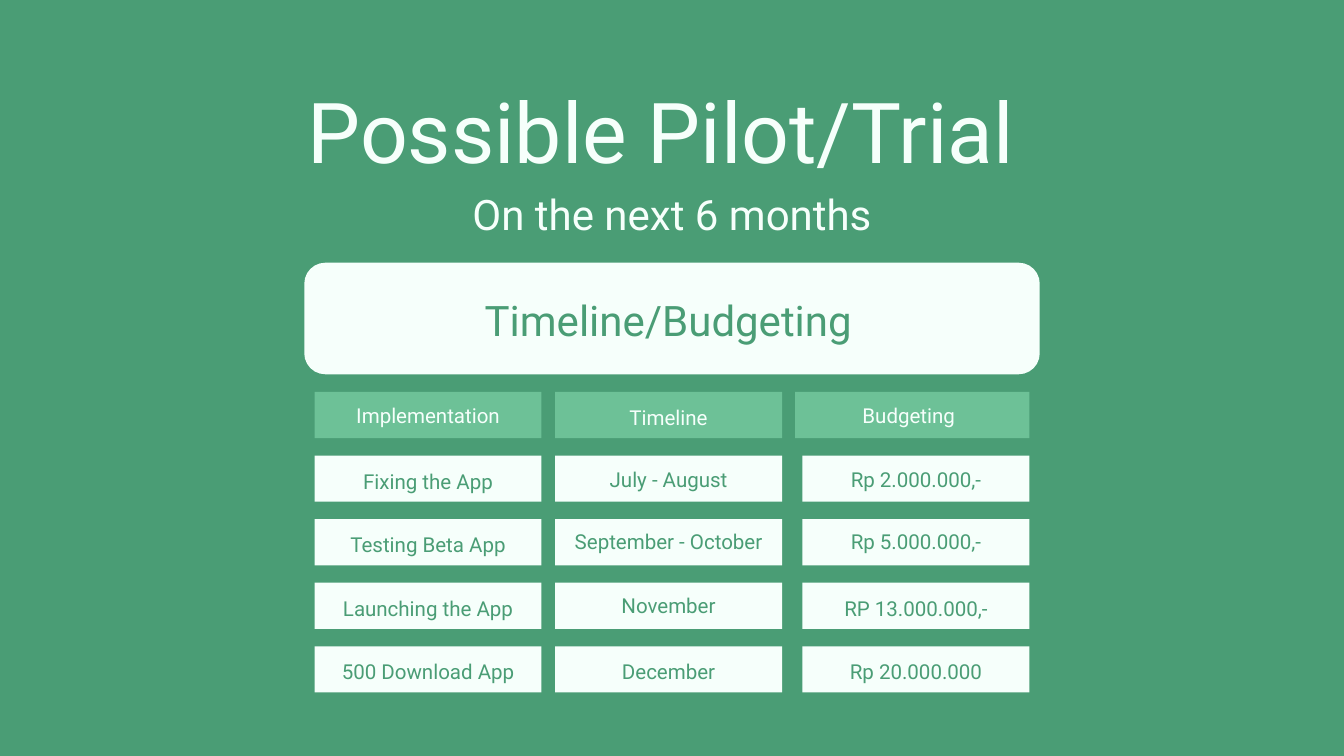
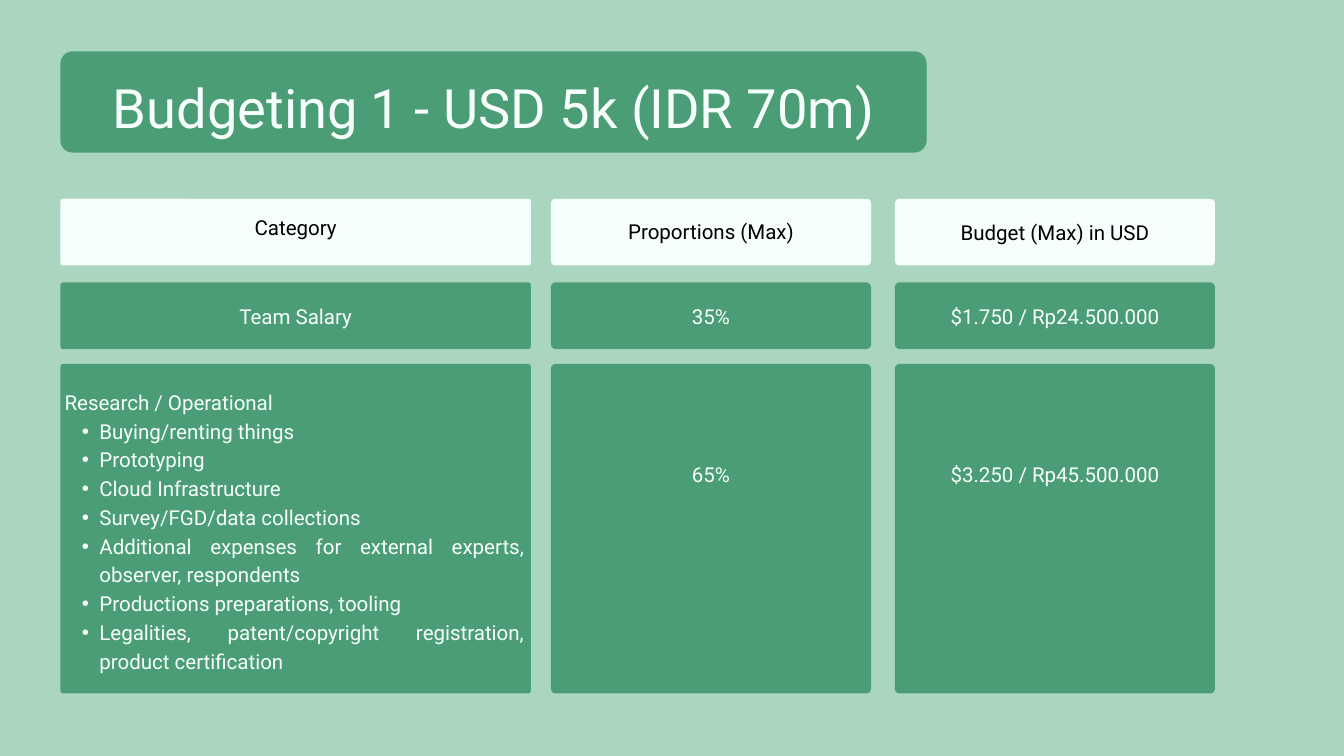
from lxml import etree
from pptx import Presentation
from pptx.dml.color import RGBColor
from pptx.enum.shapes import MSO_SHAPE
from pptx.enum.text import MSO_ANCHOR, MSO_AUTO_SIZE, PP_ALIGN
from pptx.oxml.ns import qn
from pptx.util import Pt

GREEN = RGBColor(0x4A, 0x9D, 0x75)
LIGHT_GREEN = RGBColor(0x6D, 0xC1, 0x97)
PALE_GREEN = RGBColor(0xAA, 0xD6, 0xC0)
MINT_WHITE = RGBColor(0xF6, 0xFF, 0xFB)
BLACK = RGBColor(0x00, 0x00, 0x00)

RECTANGLE = MSO_SHAPE.RECTANGLE
ROUNDED = MSO_SHAPE.ROUNDED_RECTANGLE
TOP, MIDDLE = MSO_ANCHOR.TOP, MSO_ANCHOR.MIDDLE
CENTER, JUSTIFY = PP_ALIGN.CENTER, PP_ALIGN.JUSTIFY
NO_AUTOFIT = MSO_AUTO_SIZE.NONE

FONT = "Roboto"
LINE_RATIO = 1.4
CELL_INSET = 4.3
TITLE_LAYOUT, CONTENT_LAYOUT = 0, 1

PILOT_HEADERS = [("Implementation", -2), ("Timeline", 0), ("Budgeting", -2)]
PILOT_ROWS = [
    [("Fixing the App", 1), ("July - August", -2), ("Rp 2.000.000,-", -2)],
    [("Testing Beta App", 0), ("September - October", -3), ("Rp 5.000.000,-", -3)],
    [("Launching the App", 0), ("November", -3), ("RP 13.000.000,-", 0)],
    [("500 Download App", 0), ("December", 0), ("Rp 20.000.000", 0)],
]
BUDGET_HEADERS = [("Category", -7), ("Proportions (Max)", -3), ("Budget (Max) in USD", -2)]
SALARY_ROW = [("Team Salary", -2), ("35%", -2), ("$1.750 / Rp24.500.000", -2)]
RESEARCH_ROW = [("", 0), ("65%", -61), ("$3.250 / Rp45.500.000", -61)]
RESEARCH_ITEMS = [
    "Buying/renting things",
    "Prototyping",
    "Cloud Infrastructure",
    "Survey/FGD/data collections",
    "Additional expenses for external experts, observer, respondents",
    "Productions preparations, tooling",
    "Legalities, patent/copyright registration, product certification",
]


def write_paragraph(paragraph, text, size=22, color=MINT_WHITE, align=CENTER, bullet=False):
    properties = paragraph._p.get_or_add_pPr()
    if bullet:
        paragraph.level = 1
        properties.set("marL", str(Pt(37.4)))
        properties.set("indent", str(-Pt(18.7)))
        etree.SubElement(properties, qn("a:buChar")).set("char", "•")
    else:
        properties.set("marL", "0")
        properties.set("indent", "0")
        etree.SubElement(properties, qn("a:buNone"))
    paragraph.alignment = align
    paragraph.line_spacing = Pt(round(size * LINE_RATIO, 1))
    paragraph.space_before = paragraph.space_after = Pt(0)
    run = paragraph.add_run()
    run.text = text
    run.font.name = FONT
    run.font.size = Pt(size)
    run.font.bold = False
    run.font.color.rgb = color


def set_frame(frame, anchor, inset=0, shift=(0, 0)):
    across, down = shift
    frame.word_wrap = True
    frame.auto_size = NO_AUTOFIT
    frame.vertical_anchor = anchor
    frame.margin_left = Pt(inset + max(0, 2 * across))
    frame.margin_right = Pt(inset + max(0, -2 * across))
    frame.margin_top = Pt(inset + max(0, 2 * down))
    frame.margin_bottom = Pt(inset + max(0, -2 * down))


def add_card(slide, box, fill, text="", radius=0, shift=(0, 0), **text_format):
    kind = ROUNDED if radius else RECTANGLE
    shape = slide.shapes.add_shape(kind, *map(Pt, box))
    if radius:
        shape.adjustments[0] = radius / min(box[2:])
    shape.shadow.inherit = False
    shape.fill.solid()
    shape.fill.fore_color.rgb = fill
    shape.line.fill.background()
    if text:
        set_frame(shape.text_frame, MIDDLE, CELL_INSET, shift)
        write_paragraph(shape.text_frame.paragraphs[0], text, **text_format)


def place_placeholder(placeholder, box, inset=0):
    placeholder.left, placeholder.top, placeholder.width, placeholder.height = map(Pt, box)
    set_frame(placeholder.text_frame, TOP, inset)
    placeholder.element.getparent().append(placeholder.element)
    return placeholder.text_frame


def add_heading(placeholder, box, text, size):
    frame = place_placeholder(placeholder, box)
    write_paragraph(frame.paragraphs[0], text, size=size)


def add_slide(presentation, layout, background):
    slide = presentation.slides.add_slide(presentation.slide_layouts[layout])
    slide.background.fill.solid()
    slide.background.fill.fore_color.rgb = background
    return slide


def add_pilot_grid(slide, box):
    left, top, width, height = box
    cell_width, cell_height = 243.2, 49.5
    pitch = (height - cell_height) / len(PILOT_ROWS)
    lefts = [left, left + 257.7, left + width - cell_width]
    header_left = left + 515
    header_boxes = [(x, top, cell_width, cell_height) for x in lefts[:2]]
    header_boxes.append((header_left, top, left + width - header_left, cell_height))
    for header_box, (text, drop) in zip(header_boxes, PILOT_HEADERS):
        across = (cell_width - header_box[2]) / 2
        add_card(slide, header_box, LIGHT_GREEN, text, shift=(across, drop))
    for number, row in enumerate(PILOT_ROWS, 1):
        for x, (text, drop) in zip(lefts, row):
            cell_box = (x, top + number * pitch, cell_width, cell_height)
            add_card(slide, cell_box, MINT_WHITE, text, shift=(0, drop), color=GREEN)


def add_budget_grid(slide, box):
    left, top, width, height = box
    columns = [(left, 504, 3), (left + 525.5, 343, 5), (left + width - 343, 343, 5)]
    rows = [
        (0, 71.5, BUDGET_HEADERS, MINT_WHITE, BLACK),
        (89.5, 71.5, SALARY_ROW, GREEN, MINT_WHITE),
        (177, height - 177, RESEARCH_ROW, GREEN, MINT_WHITE),
    ]
    for offset, row_height, cells, fill, color in rows:
        for (x, cell_width, radius), (text, drop) in zip(columns, cells):
            cell_box = (x, top + offset, cell_width, row_height)
            add_card(slide, cell_box, fill, text, radius, (0, drop), color=color)


def add_research_list(placeholder, box):
    frame = place_placeholder(placeholder, box, CELL_INSET)
    write_paragraph(frame.paragraphs[0], "Research / Operational", align=JUSTIFY)
    for item in RESEARCH_ITEMS:
        write_paragraph(frame.add_paragraph(), item, align=JUSTIFY, bullet=True)


def build_pilot_slide(presentation):
    slide = add_slide(presentation, TITLE_LAYOUT, GREEN)
    title, subtitle = slide.placeholders
    add_heading(title, (269, 67.5, 878, 121.5), "Possible Pilot/Trial", 90)
    add_heading(subtitle, (479, 193, 482, 60), "On the next 6 months", 45)
    add_card(slide, (326, 281.5, 788, 119.5), MINT_WHITE, "Timeline/Budgeting",
             radius=22.5, shift=(-4, -3), size=45, color=GREEN)
    add_pilot_grid(slide, (337, 420, 766, 322))


def build_budget_slide(presentation):
    slide = add_slide(presentation, CONTENT_LAYOUT, PALE_GREEN)
    title, body = slide.placeholders
    band = (64.8, 55, 928, 108.5)
    add_card(slide, band, GREEN, radius=13)
    add_heading(title, (band[0], 68.5, band[2], 75), "Budgeting 1 - USD 5k (IDR 70m)", 58.1)
    add_budget_grid(slide, (64.8, 213, 1237, 530))
    add_research_list(body, (64.8, 409, 501, 320))


def main():
    presentation = Presentation()
    presentation.slide_width, presentation.slide_height = Pt(1440), Pt(810)
    build_pilot_slide(presentation)
    build_budget_slide(presentation)
    presentation.save("out.pptx")


if __name__ == "__main__":
    main()
